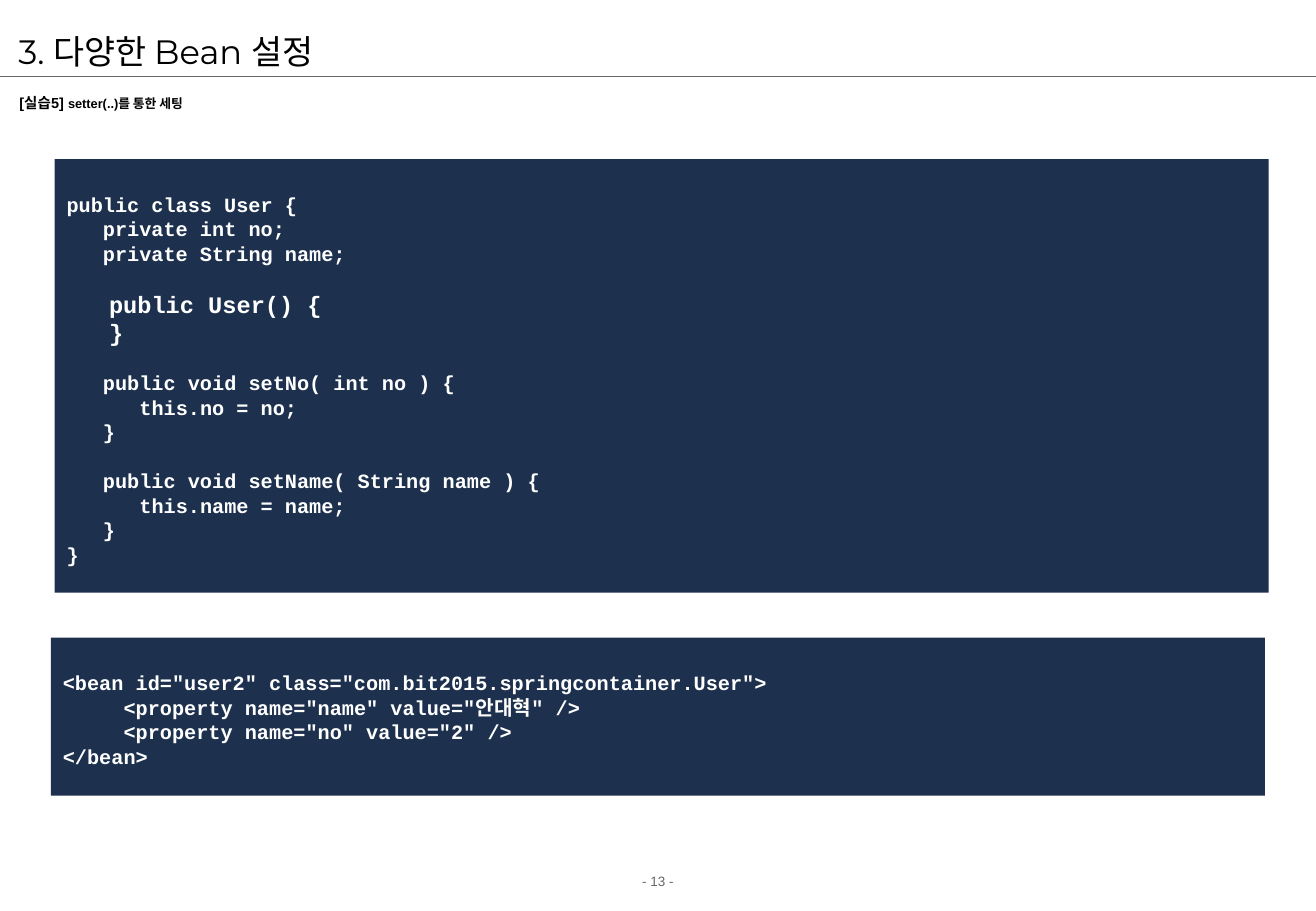
from pptx import Presentation
from pptx import util as u
from pptx.dml.color import RGBColor
from pptx.enum import shapes, text
from pptx.oxml.ns import qn
from lxml import etree

BLACK = RGBColor(0x00, 0x00, 0x00)
WHITE = RGBColor(0xFF, 0xFF, 0xFF)
GREY = RGBColor(0x66, 0x66, 0x66)
NAVY = RGBColor(0x1D, 0x31, 0x4E)

SLIDE_W, SLIDE_H = u.Inches(10.84), u.Inches(7.5)

# Boxes: left, top, width, height in percent of the slide
TITLE_BOX = (-0.18, 2.8, 93.82, 5.6)
RULE_BOX = (0, 8.4, 100, 0)
BODY_BOX = (0.55, 9.07, 99.54, 82.93)
CLASS_BOX = (4.15, 17.47, 92.25, 47.6)
BEAN_BOX = (3.87, 70, 92.25, 17.33)
PAGE_BOX = (0, 95.2, 100, 3.2)

# Code lines: indent in characters, text, size, blank lines before
CLASS_CODE = [
    (0, "public class User {", 12, 0),
    (3, "private int no;", 12, 0),
    (3, "private String name;", 12, 0),
    (3, "public User() {", 14, 1),
    (3, "}", 14, 0),
    (3, "public void setNo( int no ) {", 12, 1),
    (6, "this.no = no;", 12, 0),
    (3, "}", 12, 0),
    (3, "public void setName( String name ) {", 12, 1),
    (6, "this.name = name;", 12, 0),
    (3, "}", 12, 0),
    (0, "}", 12, 0),
]
BEAN_CODE = [
    (0, '<bean id="user2" class="com.bit2015.springcontainer.User">', 12, 0),
    (5, '<property name="name" value="안대혁" />', 12, 0),
    (5, '<property name="no" value="2" />', 12, 0),
    (0, "</bean>", 12, 0),
]
CHAR_WIDTH = 0.6  # share of the font size in Courier New
LINE_HEIGHT = {12: 14.5, 14: 16.6}


def place(box):
    x, y, w, h = box
    return (int(SLIDE_W * x / 100), int(SLIDE_H * y / 100),
            int(SLIDE_W * w / 100), int(SLIDE_H * h / 100))


def move(sp, box):
    sp.left, sp.top, sp.width, sp.height = place(box)


def add_run(p, words, size, font, color, bold=False):
    r = p.add_run()
    r.text = words
    r.font.size = u.Pt(size)
    r.font.name = font
    r.font.bold = bold
    r.font.color.rgb = color


def set_indent(p, left):
    pPr = p._p.get_or_add_pPr()
    pPr.set("marL", str(int(left)))
    pPr.set("indent", "0")
    return pPr


def add_title(s, box):
    sp = s.shapes.title
    move(sp, box)
    tf = sp.text_frame
    tf.auto_size = text.MSO_AUTO_SIZE.NONE
    tf.vertical_anchor = text.MSO_ANCHOR.MIDDLE
    tf.margin_left = u.Inches(0.17)
    p = tf.paragraphs[0]
    p.alignment = text.PP_ALIGN.LEFT
    add_run(p, "3. 다양한 Bean 설정", 20, "Montserrat", BLACK)


def add_rule(s, box):
    x, y, w, h = place(box)
    line = s.shapes.add_connector(shapes.MSO_CONNECTOR.STRAIGHT, x, y, x + w, y + h)
    line.line.color.rgb = GREY
    line.line.width = u.Pt(0.75)
    etree.SubElement(line._element.spPr, qn("a:effectLst"))


def add_exercise(s, box):
    sp = s.placeholders[1]
    move(sp, box)
    tf = sp.text_frame
    tf.auto_size = text.MSO_AUTO_SIZE.NONE
    p = tf.paragraphs[0]
    p.line_spacing = 1.3
    p.space_before = u.Pt(5)
    etree.SubElement(set_indent(p, 0), qn("a:buNone"))
    add_run(p, "[실습5] ", 8.6, "Arial", BLACK, True)
    add_run(p, "setter(..)를 통한 세팅", 7.6, "Arial", BLACK, True)


def add_code(s, box, lines):
    sp = s.shapes.add_shape(shapes.MSO_SHAPE.RECTANGLE, *place(box))
    sp.shadow.inherit = False
    sp.fill.solid()
    sp.fill.fore_color.rgb = NAVY
    sp.line.fill.background()
    tf = sp.text_frame
    tf.word_wrap = True
    tf.vertical_anchor = text.MSO_ANCHOR.TOP
    tf.margin_top = u.Inches(0.27)
    for i, (indent, words, size, blanks) in enumerate(lines):
        p = tf.paragraphs[0] if i == 0 else tf.add_paragraph()
        p.alignment = text.PP_ALIGN.LEFT
        p.line_spacing = u.Pt(LINE_HEIGHT[size])
        p.space_before = u.Pt(blanks * LINE_HEIGHT[12])
        set_indent(p, u.Pt(indent * size * CHAR_WIDTH))
        add_run(p, words, size, "Courier New", WHITE, True)


def add_page_number(s, box):
    tf = s.shapes.add_textbox(*place(box)).text_frame
    tf.word_wrap = True
    p = tf.paragraphs[0]
    p.alignment = text.PP_ALIGN.CENTER
    add_run(p, "- 13 -", 8, "Arial", GREY)


def main():
    prs = Presentation()
    prs.slide_width, prs.slide_height = SLIDE_W, SLIDE_H
    s = prs.slides.add_slide(prs.slide_layouts[1])
    add_page_number(s, PAGE_BOX)
    add_rule(s, RULE_BOX)
    add_title(s, TITLE_BOX)
    add_exercise(s, BODY_BOX)
    add_code(s, CLASS_BOX, CLASS_CODE)
    add_code(s, BEAN_BOX, BEAN_CODE)
    prs.save("out.pptx")


if __name__ == "__main__":
    main()
